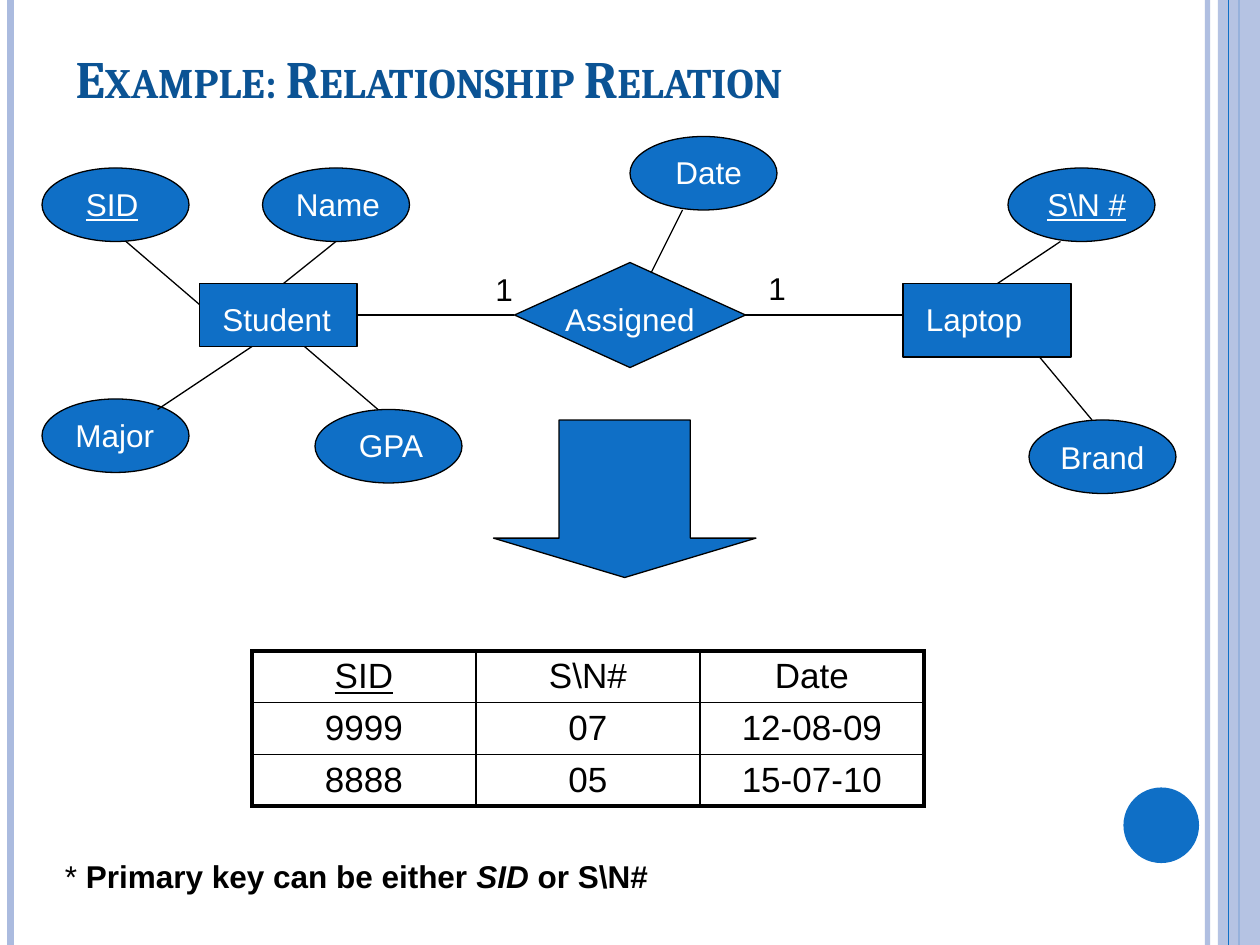
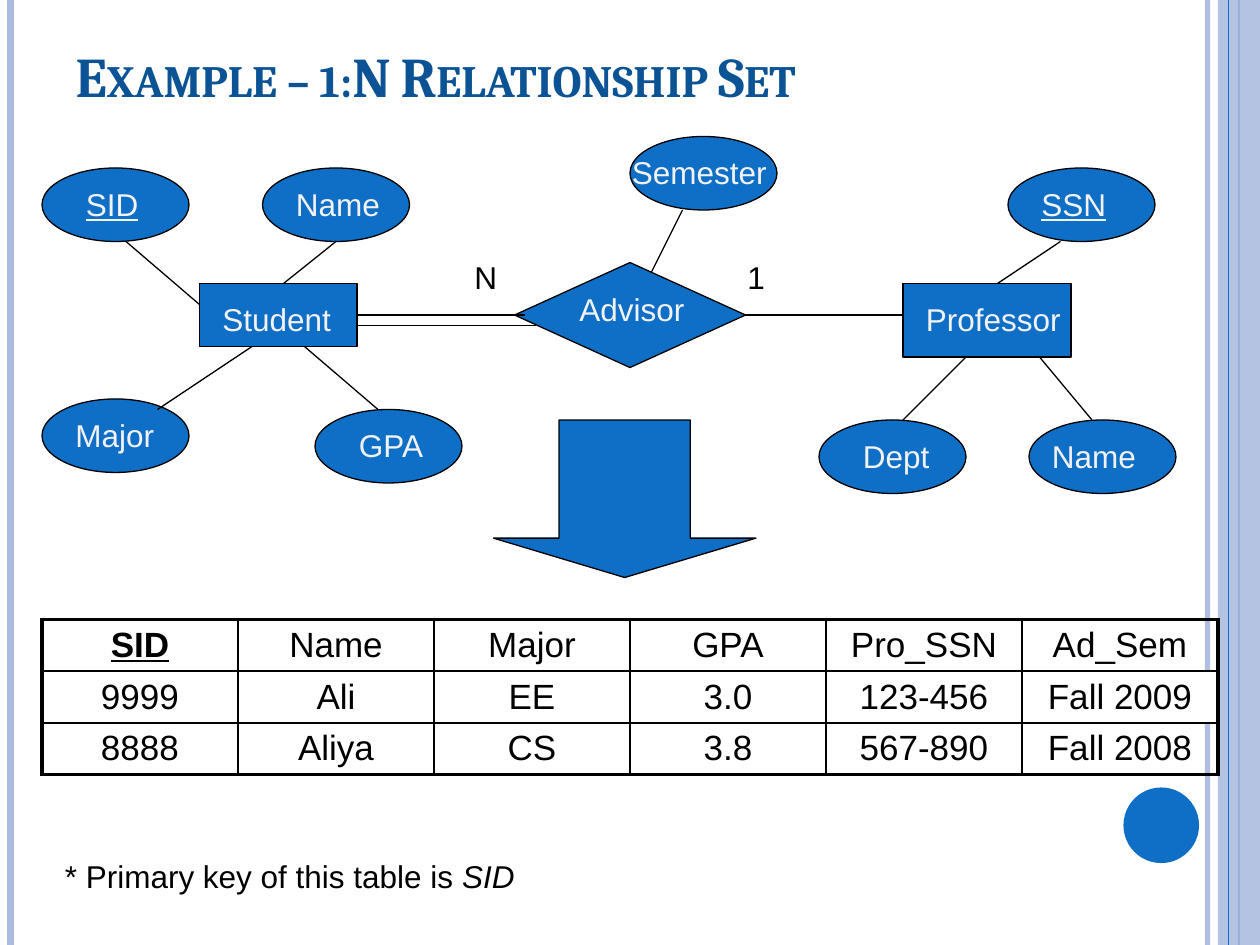
import pptx
import pptx.util
import pptx.dml.color
import pptx.enum.shapes
import pptx.enum.text
import pptx.oxml
import pptx.oxml.ns
from dataclasses import dataclass

Pt = pptx.util.Pt
KIND = pptx.enum.shapes.MSO_SHAPE
STRAIGHT = pptx.enum.shapes.MSO_CONNECTOR.STRAIGHT
ALIGN = pptx.enum.text.PP_ALIGN
ANCHOR = pptx.enum.text.MSO_ANCHOR


@dataclass(frozen=True)
class Theme:
    blue: str = "0F6FC6"
    pale: str = "ABBBDF"
    navy: str = "0B5394"
    ink: str = "000000"
    white: str = "FFFFFF"
    body: str = "Arial"
    head: str = "Cambria"
    label: int = 18
    cell: int = 20
    thin: float = 0.75
    inner: float = 1
    outer: float = 2.25


T = Theme()
WIDE, HIGH = 720, 540
OVAL = (84, 42)

# Side bands: x, colour, line width, opacity in percent
BANDS_LOW = [(690, T.pale, 3, 93), (6, T.pale, 4.5, 100), (708, T.blue, 1.5, 100)]
BANDS_TOP = [(702, T.blue, 0.75, 100)]

# Diagram parts found on both slides
BLOCKS = [
    (KIND.RECTANGLE, 114, 162, 90, 36),
    (KIND.RECTANGLE, 516, 162, 96, 42),
    (KIND.FLOWCHART_DECISION, 294, 150, 132, 60),
]
ARROW = (282, 240, 150, 90)
OVALS = [(150, 96), (24, 96), (24, 228), (180, 234), (576, 96), (360, 78)]
LINKS = [
    (72, 138, 114, 174), (192, 138, 162, 162), (216, 234, 174, 198),
    (90, 234, 144, 198), (426, 180, 516, 180), (372, 156, 390, 120),
    (606, 138, 570, 162), (594, 204, 624, 240),
]
# Labels: text, x, y, width, marks (u underlined, c centred)
LABELS = [
    ("Student", 120, 168, 78, ""), ("SID", 42, 102, 60, "u"),
    ("Name", 162, 102, 66, ""), ("Major", 36, 234, 60, ""),
    ("GPA", 198, 240, 54, ""),
]

SLIDES = [
    dict(
        title="Example: Relationship Relation", size=30, top=12,
        tint="FFFFFF",
        ovals=[(588, 240, "Brand")],
        links=[(294, 180, 204, 180)],
        labels=[
            ("S\\N #", 576, 102, 90, "uc"), ("Assigned", 306, 168, 108, "c"),
            ("Laptop", 522, 168, 78, ""), ("Date", 354, 84, 102, "c"),
        ],
        counts=[("1", 276, 151, 24, ""), ("1", 432, 150, 24, "")],
        grid=(144, 372, 384),
        key="u",
        rows=[
            ("SID", "S\\N#", "Date"),
            ("9999", "07", "12-08-09"),
            ("8888", "05", "15-07-10"),
        ],
        note=[("* ", ""), ("Primary key can be either ", "b"),
              ("SID", "bi"), (" or S\\N#", "b")],
    ),
    dict(
        title="Example – 1:N Relationship Set", size=32, top=30,
        tint="F2F2F2",
        ovals=[(588, 240, ""), (468, 240, "")],
        links=[(300, 180, 204, 180), (552, 204, 516, 240), (204, 186, 306, 186)],
        labels=[
            ("SSN", 588, 102, 90, "u"), ("Professor", 522, 168, 102, ""),
            ("Semester", 354, 84, 102, ""), ("Name", 594, 246, 66, ""),
            ("Dept", 486, 246, 54, ""), ("Advisor", 324, 162, 102, ""),
        ],
        counts=[("N", 264, 144, 36, ""), ("1", 420, 144, 36, "")],
        grid=(24, 354, 672),
        key="bu",
        rows=[
            ("SID", "Name", "Major", "GPA", "Pro_SSN", "Ad_Sem"),
            ("9999", "Ali", "EE", "3.0", "123-456", "Fall 2009"),
            ("8888", "Aliya", "CS", "3.8", "567-890", "Fall 2008"),
        ],
        note=[("* Primary key of this table is ", ""), ("SID", "i")],
    ),
]


def rgb(code):
    return pptx.dml.color.RGBColor.from_string(code)


def pts(*nums):
    return [Pt(n) for n in nums]


def fade(fill, part):
    """Set the opacity of a solid fill inside the given element."""
    for tone in part.iter(pptx.oxml.ns.qn("a:srgbClr")):
        tone.append(pptx.oxml.parse_xml(
            f'<a:alpha {pptx.oxml.ns.nsdecls("a")} val="{fill * 1000}"/>'))


def write(para, text, size, tint, marks="", font=T.body):
    run = para.add_run()
    run.text = text
    run.font.name, run.font.size = font, Pt(size)
    run.font.color.rgb = rgb(tint)
    run.font.bold = "b" in marks
    run.font.italic = "i" in marks
    run.font.underline = "u" in marks
    return run


def draw(slide, kind, box, fill=T.blue, edge=T.ink):
    shape = slide.shapes.add_shape(kind, *pts(*box))
    shape.shadow.inherit = False
    shape.fill.solid()
    shape.fill.fore_color.rgb = rgb(fill)
    if edge:
        shape.line.color.rgb = rgb(edge)
        shape.line.width = Pt(T.thin)
    else:
        shape.line.fill.background()
    return shape


def join(slide, ends, tint=T.ink, width=T.thin):
    line = slide.shapes.add_connector(STRAIGHT, *pts(*ends))
    line.line.color.rgb = rgb(tint)
    line.line.width = Pt(width)
    props = line.element.spPr
    props.append(props.makeelement(pptx.oxml.ns.qn("a:effectLst"), {}))
    return line


def add_bands(slide, layout):
    """Build the side bands and the disc, then move them to the layout."""
    def strip(x, tint, width, alpha):
        line = join(slide, (x, 0, x, HIGH), tint, width)
        if alpha < 100:
            fade(alpha, line.element.spPr)
        return line

    parts = [strip(*band) for band in BANDS_LOW]
    side = draw(slide, KIND.RECTANGLE, (696, 0, 24, HIGH), T.pale, None)
    fade(87, side.element.spPr)
    parts.append(side)
    parts += [strip(*band) for band in BANDS_TOP]
    parts.append(draw(slide, KIND.OVAL, (642, 450, 43.2, 43.2), T.blue, None))
    for part in parts:
        layout.shapes.element.append(part.element)


def add_title(slide, text, size, top):
    title = slide.shapes.title
    title.left, title.top, title.width, title.height = pts(36, top, 648, 66 - top)
    frame = title.text_frame
    frame.auto_size = pptx.enum.text.MSO_AUTO_SIZE.NONE
    frame.vertical_anchor = ANCHOR.BOTTOM
    para = frame.paragraphs[0]
    para.alignment = ALIGN.LEFT
    run = write(para, text, size, T.navy, "b", T.head)
    run.font._element.set("cap", "small")


def add_text(slide, x, y, width, runs, tint, align=ALIGN.LEFT):
    frame = slide.shapes.add_textbox(*pts(x, y, width, 29)).text_frame
    frame.word_wrap = True
    para = frame.paragraphs[0]
    para.alignment = align
    for text, marks in runs:
        write(para, text, T.label, tint, marks)


def add_labels(slide, labels, tint):
    for text, x, y, width, marks in labels:
        align = ALIGN.CENTER if "c" in marks else ALIGN.LEFT
        add_text(slide, x, y, width, [(text, marks)], tint, align)


def add_blocks(slide):
    """Draw entities and diamond; return their side middles by position."""
    ports = {}
    for kind, x, y, w, h in BLOCKS:
        shape = draw(slide, kind, (x, y, w, h))
        mids = [(x + w / 2, y), (x, y + h / 2), (x + w / 2, y + h), (x + w, y + h / 2)]
        ports.update({mid: (shape, site) for site, mid in enumerate(mids)})
    return ports


def add_links(slide, links, ports):
    for ends in links:
        line = join(slide, ends)
        if ends[:2] in ports:
            line.begin_connect(*ports[ends[:2]])
        if ends[2:] in ports:
            line.end_connect(*ports[ends[2:]])


def edge_cell(cell, widths):
    """Put left, right, top and bottom borders on a cell."""
    props = cell._tc.get_or_add_tcPr()
    for spot, (side, width) in enumerate(zip("LRTB", widths)):
        props.insert(spot, pptx.oxml.parse_xml(
            f'<a:ln{side} {pptx.oxml.ns.nsdecls("a")} w="{Pt(width)}"><a:solidFill>'
            f'<a:srgbClr val="{T.ink}"/></a:solidFill></a:ln{side}>'))


def add_grid(slide, rows, spot, key):
    x, y, width = spot
    high, wide = len(rows), len(rows[0])
    table = slide.shapes.add_table(high, wide, *pts(x, y, width, 26 * high)).table
    table.first_row = table.horz_banding = False
    for col in table.columns:
        col.width = Pt(width / wide)
    for r, row in enumerate(rows):
        for c, text in enumerate(row):
            cell = table.cell(r, c)
            para = cell.text_frame.paragraphs[0]
            para.alignment = ALIGN.CENTER
            write(para, text, T.cell, T.ink, key if r == c == 0 else "")
            if r == 1:
                cell.fill.solid()
                cell.fill.fore_color.rgb = rgb(T.white)
            else:
                cell.fill.background()
            rims = (c == 0, c == wide - 1, r == 0, r == high - 1)
            edge_cell(cell, [T.outer if rim else T.inner for rim in rims])


def add_ovals(slide, ovals, tint):
    for x, y, text in ovals:
        oval = draw(slide, KIND.OVAL, (x, y, *OVAL))
        if text:
            frame = oval.text_frame
            frame.word_wrap = False
            frame.vertical_anchor = ANCHOR.MIDDLE
            frame.paragraphs[0].alignment = ALIGN.CENTER
            write(frame.paragraphs[0], text, T.label, tint)


def main():
    deck = pptx.Presentation()
    deck.slide_width, deck.slide_height = pts(WIDE, HIGH)
    layout = deck.slide_layouts[5]
    for num, page in enumerate(SLIDES):
        slide = deck.slides.add_slide(layout)
        if num == 0:
            add_bands(slide, layout)
        tint = page["tint"]
        add_title(slide, page["title"], page["size"], page["top"])
        add_grid(slide, page["rows"], page["grid"], page["key"])
        ports = add_blocks(slide)
        add_ovals(slide, [(x, y, "") for x, y in OVALS] + page["ovals"], tint)
        arrow = draw(slide, KIND.DOWN_ARROW, ARROW)
        arrow.adjustments[0], arrow.adjustments[1] = 0.5, 0.25
        add_links(slide, LINKS + page["links"], ports)
        add_labels(slide, LABELS + page["labels"], tint)
        add_labels(slide, page["counts"], T.ink)
        add_text(slide, 30, 486, 654, page["note"], T.ink)
    deck.save("out.pptx")


if __name__ == "__main__":
    main()
